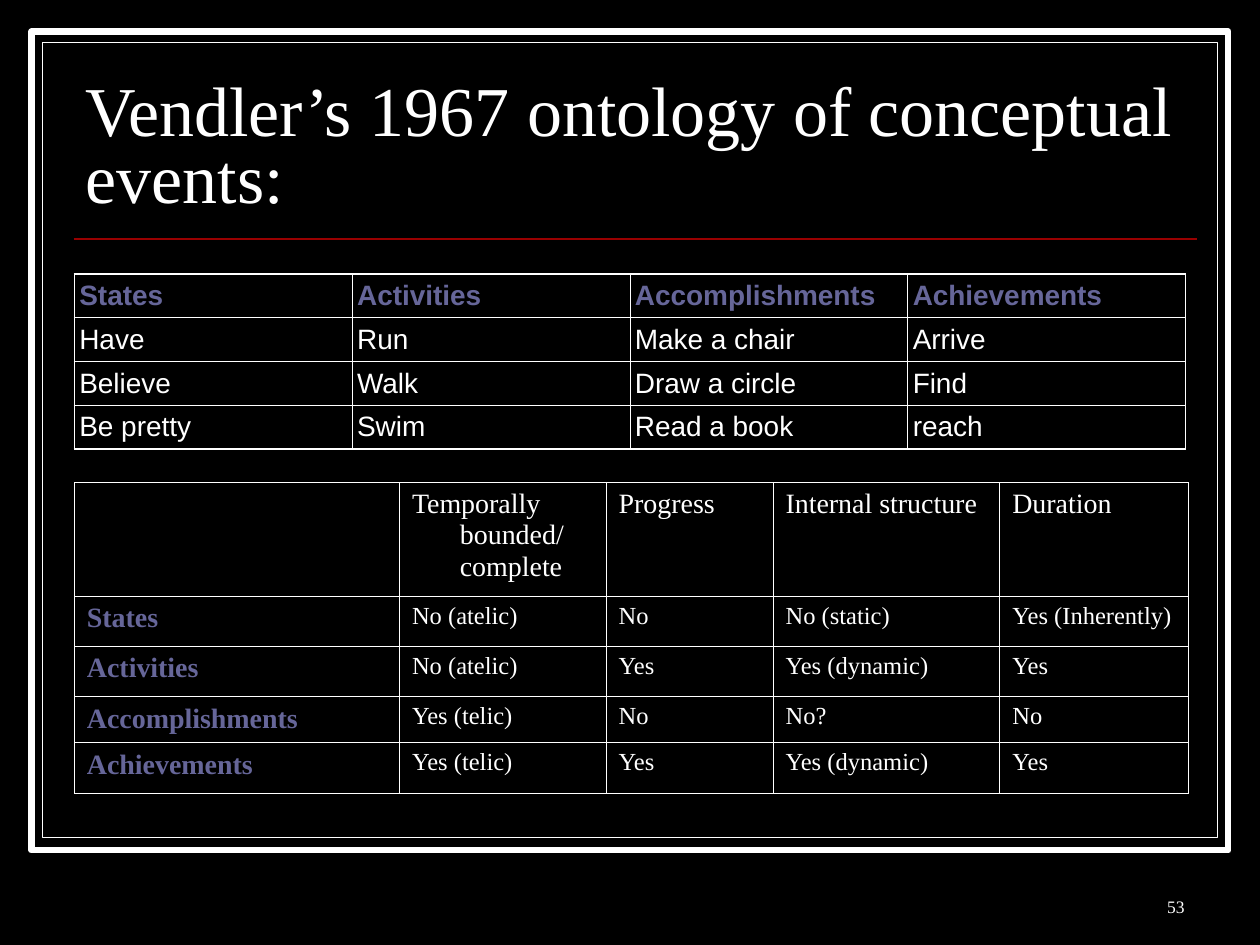
"""Build a slide that classifies conceptual events in two tables."""
import lxml.etree
import pptx
import pptx.dml.color
import pptx.enum.shapes
import pptx.enum.text
import pptx.oxml.ns
import pptx.util

BLACK, WHITE, RED, SLATE = "000000", "FFFFFF", "990000", "666699"
SERIF, SANS = "Times New Roman", "Arial"
GRID_COLUMNS = 100
ANCHOR = pptx.enum.text.MSO_ANCHOR

EXAMPLES = [
    ["States", "Activities", "Accomplishments", "Achievements"],
    ["Have", "Run", "Make a chair", "Arrive"],
    ["Believe", "Walk", "Draw a circle", "Find"],
    ["Be pretty", "Swim", "Read a book", "reach"],
]
FEATURES = [
    ["", "Temporally bounded/ complete", "Progress", "Internal structure", "Duration"],
    ["States", "No (atelic)", "No", "No (static)", "Yes (Inherently)"],
    ["Activities", "No (atelic)", "Yes", "Yes (dynamic)", "Yes"],
    ["Accomplishments", "Yes (telic)", "No", "No?", "No"],
    ["Achievements", "Yes (telic)", "Yes", "Yes (dynamic)", "Yes"],
]


def colour(value):
    """Return the colour of a hex string."""
    return pptx.dml.color.RGBColor.from_string(value)


def grid(*units):
    """Convert grid units, a hundred to the slide width, to lengths."""
    return [pptx.util.Inches(unit * 10 / GRID_COLUMNS) for unit in units]


def style_text(paragraph, size, font_name, text_colour=WHITE, bold=False):
    """Format every run of a paragraph."""
    for run in paragraph.runs:
        run.font.size = pptx.util.Pt(size)
        run.font.name = font_name
        run.font.bold = bold
        run.font.color.rgb = colour(text_colour)


def set_margins(holder, horizontal, vertical=0.5):
    """Set the inner margins of a cell or text frame in grid units."""
    holder.margin_left, holder.margin_right = grid(horizontal, horizontal)
    holder.margin_top, holder.margin_bottom = grid(vertical, vertical)


def add_frame(slide, box, line_width):
    """Draw one black rectangle with a white outline."""
    shape = slide.shapes.add_shape(pptx.enum.shapes.MSO_SHAPE.RECTANGLE, *grid(*box))
    shape.shadow.inherit = False
    shape.fill.solid()
    shape.fill.fore_color.rgb = colour(BLACK)
    shape.line.color.rgb = colour(WHITE)
    shape.line.width = pptx.util.Pt(line_width)


def add_rule(slide, left, top, right):
    """Draw the red rule under the title."""
    rule = slide.shapes.add_connector(
        pptx.enum.shapes.MSO_CONNECTOR.STRAIGHT, *grid(left, top, right, top))
    rule.line.color.rgb = colour(RED)
    rule.line.width = pptx.util.Pt(1)
    properties = rule.element.spPr
    lxml.etree.SubElement(properties, pptx.oxml.ns.qn("a:effectLst"))


def place_title(slide, box, text):
    """Move the title placeholder to its box, in front of the frame."""
    title = slide.shapes.title
    title.element.getparent().append(title.element)
    title.left, title.top, title.width, title.height = grid(*box)
    text_frame = title.text_frame
    text_frame.text = text
    text_frame.word_wrap = True
    text_frame.auto_size = pptx.enum.text.MSO_AUTO_SIZE.NONE
    text_frame.vertical_anchor = ANCHOR.BOTTOM
    set_margins(text_frame, 1)
    paragraph = text_frame.paragraphs[0]
    paragraph.alignment = pptx.enum.text.PP_ALIGN.LEFT
    paragraph.line_spacing = 0.8
    style_text(paragraph, 40, SERIF)


def set_borders(cell, widths):
    """Give a cell white borders, with widths by side in points."""
    properties = cell._tc.get_or_add_tcPr()
    for side, width in widths.items():
        line = lxml.etree.SubElement(
            properties, pptx.oxml.ns.qn(f"a:ln{side}"), w=str(int(pptx.util.Pt(width))))
        fill = lxml.etree.SubElement(line, pptx.oxml.ns.qn("a:solidFill"))
        lxml.etree.SubElement(fill, pptx.oxml.ns.qn("a:srgbClr"), val=WHITE)


def add_grid_table(slide, left, top, widths, heights, contents, outer_line, format_cell):
    """Add a bordered table and format each cell with the given function."""
    table = slide.shapes.add_table(
        len(heights), len(widths), *grid(left, top, sum(widths), sum(heights))).table
    table.first_row = table.horz_banding = False
    for column, width in zip(table.columns, grid(*widths)):
        column.width = width
    for row, height in zip(table.rows, grid(*heights)):
        row.height = height
    last_row, last_column = len(heights) - 1, len(widths) - 1
    for row_index, values in enumerate(contents):
        for column_index, value in enumerate(values):
            cell = table.cell(row_index, column_index)
            edges = {"L": column_index == 0, "R": column_index == last_column,
                     "T": row_index == 0, "B": row_index == last_row}
            set_borders(cell, {side: outer_line if edge else 0.45
                               for side, edge in edges.items()})
            cell.fill.background()
            cell.text_frame.text = value
            format_cell(cell, row_index, column_index)


def format_example(cell, row_index, column_index):
    """Format a cell of the table of example verbs."""
    set_margins(cell, 0.4)
    cell.vertical_anchor = ANCHOR.MIDDLE
    header = row_index == 0
    style_text(cell.text_frame.paragraphs[0], 16, SANS, SLATE if header else WHITE, header)


def format_feature(cell, row_index, column_index):
    """Format a cell of the table of event features, with a hanging indent."""
    set_margins(cell, 1)
    cell.vertical_anchor = ANCHOR.TOP
    paragraph = cell.text_frame.paragraphs[0]
    indent = grid(3.8)[0]
    properties = paragraph._p.get_or_add_pPr()
    properties.set("marL", str(indent))
    properties.set("indent", str(-indent))
    label = column_index == 0
    size = 16 if label or row_index == 0 else 14
    style_text(paragraph, size, SERIF, SLATE if label else WHITE, label)


def add_page_number(slide, box, number):
    """Write the page number at the bottom right."""
    text_frame = slide.shapes.add_textbox(*grid(*box)).text_frame
    text_frame.text = number
    text_frame.word_wrap = True
    text_frame.vertical_anchor = ANCHOR.BOTTOM
    set_margins(text_frame, 1)
    paragraph = text_frame.paragraphs[0]
    paragraph.alignment = pptx.enum.text.PP_ALIGN.RIGHT
    style_text(paragraph, 10, SERIF)


def main():
    """Build and save the presentation."""
    presentation = pptx.Presentation()
    presentation.slide_width, presentation.slide_height = grid(GRID_COLUMNS, 75)
    slide = presentation.slides.add_slide(presentation.slide_layouts[5])
    slide.background.fill.solid()
    slide.background.fill.fore_color.rgb = colour(BLACK)
    add_frame(slide, (2.5, 2.5, 95, 65), 3.5)
    add_frame(slide, (3.35, 3.35, 93.3, 63.1), 0.75)
    add_rule(slide, 5.85, 18.95, 95)
    place_title(slide, (5.8, 5.2, 89.2, 12.5),
                "Vendler’s 1967 ontology of conceptual events:")
    add_grid_table(slide, 5.9, 38.3, (25.8, 16.4, 13.25, 18, 15), (9, 4, 4, 3.65, 4),
                   FEATURES, 0.45, format_feature)
    add_grid_table(slide, 5.9, 21.75, [22.05] * 4, [3.47] * 4,
                   EXAMPLES, 1.08, format_example)
    add_page_number(slide, (74.2, 68.3, 20.8, 5), "53")
    presentation.save("out.pptx")


if __name__ == "__main__":
    main()
